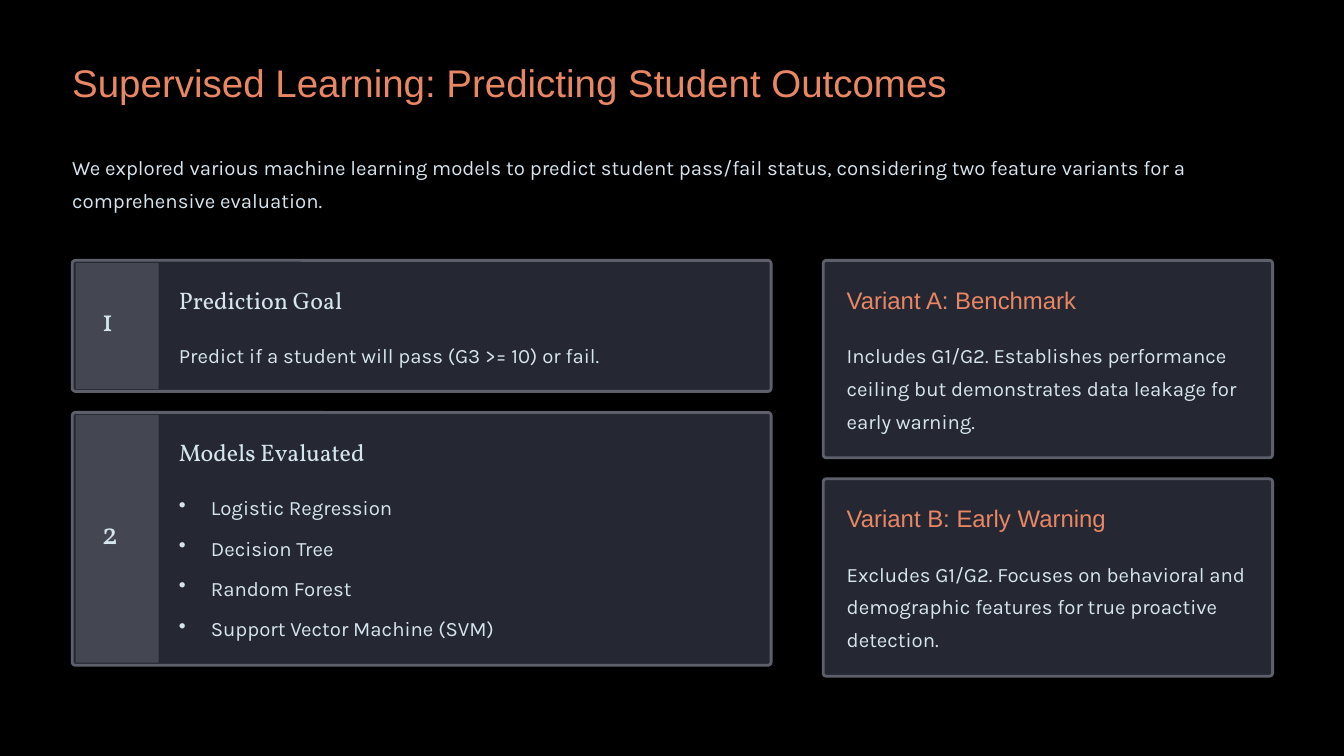
from dataclasses import dataclass
from lxml import etree
from pptx import Presentation
from pptx.dml.color import RGBColor
from pptx.enum.shapes import MSO_SHAPE
from pptx.oxml.ns import qn
from pptx.util import Inches, Pt

ROUND = MSO_SHAPE.ROUNDED_RECTANGLE
RECT = MSO_SHAPE.RECTANGLE
COLS, ROWS = 16, 9


@dataclass(frozen=True)
class Style:
    """A text style: font, size, line height and colour."""
    font: str
    size: float
    line: float
    color: str


class Theme:
    back, card, edge, band = "000000", "252833", "5D606B", "444752"
    border = 2.4
    title = Style("Arial", 33, 41.5, "E98764")
    head = Style("Arial", 20.5, 26, "E98764")
    step = Style("Vollkorn", 20.5, 26, "D6E5EF")
    num = Style("Vollkorn", 26.5, 26.5, "D6E5EF")
    body = Style("Karla", 17.5, 28, "D6E5EF")


class Page:
    """One slide, measured in grid columns and rows."""

    def __init__(self, theme):
        self.theme = theme
        self.deck = Presentation()
        self.deck.slide_width = Inches(16)
        self.deck.slide_height = Inches(9)
        self.col = self.deck.slide_width / COLS
        self.row = self.deck.slide_height / ROWS
        self.slide = self.deck.slides.add_slide(self.deck.slide_layouts[6])
        fill = self.slide.background.fill
        fill.solid()
        fill.fore_color.rgb = RGBColor.from_string(theme.back)

    def place(self, x, y, w, h):
        return (round(x * self.col), round(y * self.row),
                round(w * self.col), round(h * self.row))

    def text(self, x, y, w, h, lines, style, bullet=False):
        frame = self.slide.shapes.add_textbox(*self.place(x, y, w, h)).text_frame
        frame.margin_left = frame.margin_right = 0
        frame.margin_top = frame.margin_bottom = 0
        frame.word_wrap = True
        frame.text = "\n".join(lines)
        for i, para in enumerate(frame.paragraphs):
            para.line_spacing = Pt(style.line)
            if bullet:
                self.bullet(para)
                if i:
                    para.space_before = Pt(6.5)
            para.font.name = style.font
            para.font.size = Pt(style.size)
            para.font.color.rgb = RGBColor.from_string(style.color)

    def bullet(self, para):
        props = para._p.get_or_add_pPr()
        props.set("marL", str(Inches(0.38)))
        props.set("indent", str(-Inches(0.38)))
        etree.SubElement(props, qn("a:buChar")).set("char", "•")

    def box(self, kind, x, y, w, h, fill):
        shape = self.slide.shapes.add_shape(kind, *self.place(x, y, w, h))
        shape.shadow.inherit = False
        shape.fill.solid()
        shape.fill.fore_color.rgb = RGBColor.from_string(fill)
        shape.line.fill.background()
        return shape

    def card(self, x, y, w, h):
        shape = self.box(ROUND, x, y, w, h, self.theme.card)
        shape.adjustments[0] = 0.037 / min(w, h)
        shape.line.color.rgb = RGBColor.from_string(self.theme.edge)
        shape.line.width = Pt(self.theme.border)

    def topic(self, x, y, w, h, head, style, lines, bullet=False):
        """Heading with the body text below it."""
        self.text(x, y + 0.28, w, 0.36, [head], style)
        self.text(x, y + 0.89, w, h - 1.17, lines, self.theme.body, bullet)

    def step(self, x, y, w, h, num, head, lines, bullet):
        """Card with a numbered band on its left."""
        self.card(x, y, w, h)
        self.box(RECT, x + 0.04, y + 0.03, 0.99, h - 0.06, self.theme.band)
        self.text(x + 0.35, y + h / 2 - 0.23, 0.37, 0.46, [str(num)], self.theme.num)
        self.topic(x + 1.27, y, w - 1.3, h, head, self.theme.step, lines, bullet)

    def variant(self, x, y, w, h, head, body):
        self.card(x, y, w, h)
        self.topic(x + 0.28, y, w - 0.56, h, head, self.theme.head, [body])


STEPS = [
    ("Prediction Goal", 1.56, ["Predict if a student will pass (G3 >= 10) or fail."]),
    ("Models Evaluated", 3.01, ["Logistic Regression", "Decision Tree",
                                "Random Forest", "Support Vector Machine (SVM)"]),
]
VARIANTS = [
    ("Variant A: Benchmark",
     "Includes G1/G2. Establishes performance ceiling but demonstrates "
     "data leakage for early warning."),
    ("Variant B: Early Warning",
     "Excludes G1/G2. Focuses on behavioral and demographic features "
     "for true proactive detection."),
]


def main():
    page = Page(Theme())
    left, top, gap = 0.86, 3.1, 0.25

    # Title and intro
    page.text(left, 0.68, 14.27, 0.58,
              ["Supervised Learning: Predicting Student Outcomes"], Theme.title)
    page.text(left, 1.75, 14.27, 0.79,
              ["We explored various machine learning models to predict student "
               "pass/fail status, considering two feature variants for a "
               "comprehensive evaluation."], Theme.body)

    # Numbered cards
    y = top
    for num, (head, high, lines) in enumerate(STEPS, 1):
        page.step(left, y, 8.32, high, num, head, lines, len(lines) > 1)
        y += high + gap

    # Variant cards
    high = 2.35
    for i, (head, body) in enumerate(VARIANTS):
        page.variant(9.8, top + i * (high + gap), 5.35, high, head, body)

    page.deck.save("out.pptx")


if __name__ == "__main__":
    main()
